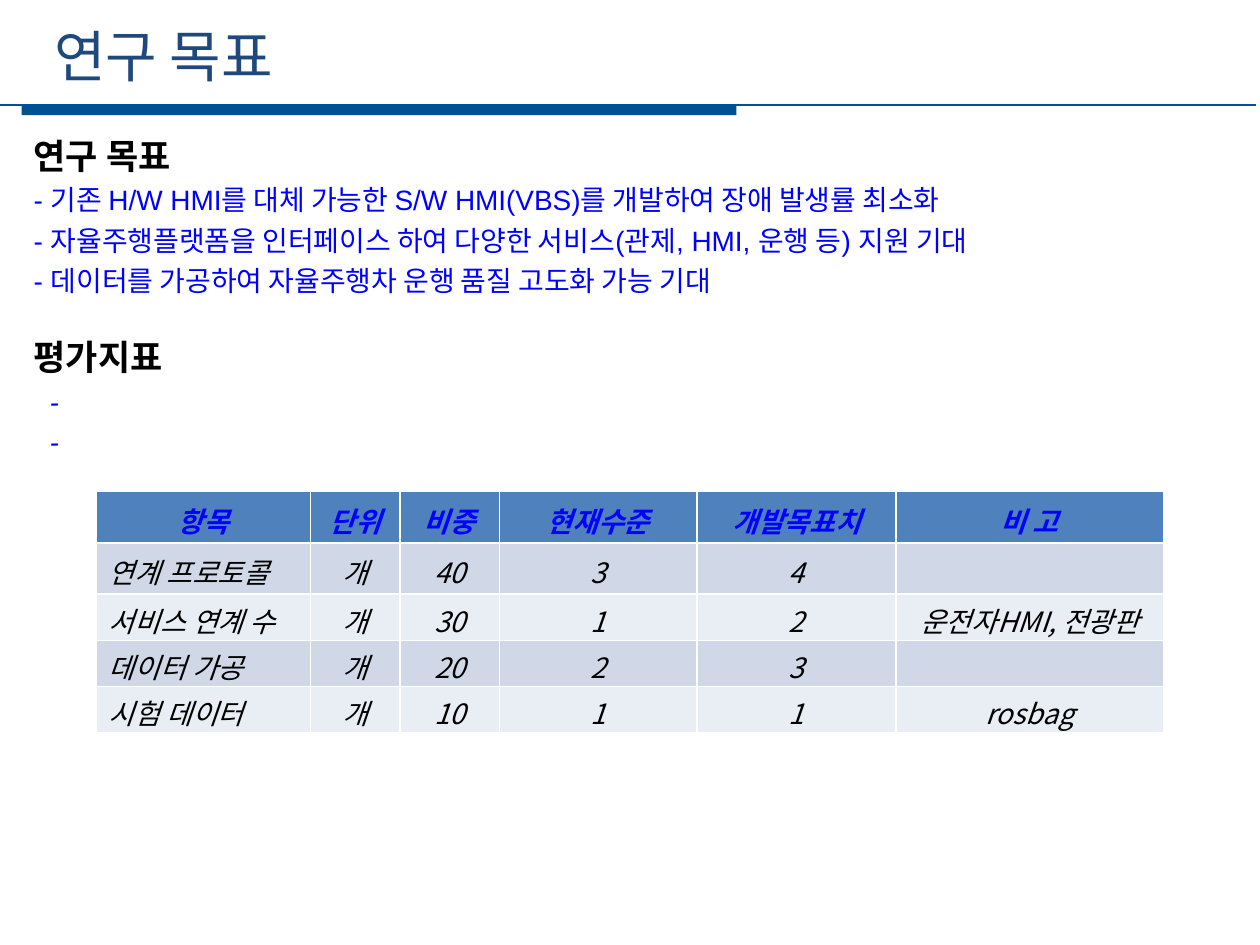
from typing import NamedTuple

from lxml.etree import SubElement
from pptx import Presentation
from pptx.dml.color import RGBColor
from pptx.enum.shapes import MSO_CONNECTOR, MSO_SHAPE
from pptx.enum.text import MSO_ANCHOR, PP_ALIGN
from pptx.oxml.ns import qn
from pptx.util import Pt

KOREAN = "Noto Sans CJK KR"
BLUE, BLACK, NAVY = "0000FF", "000000", "005094"
HEADER_FILL, BANDS = "4F81BD", ("D0D8E8", "E9EDF4")


class Line(NamedTuple):
    text: str
    size: float = 16
    color: str = BLUE
    bold: bool = False
    italic: bool = False
    font: str = "Arial"
    before: float = 0
    indent: float = 0


BODY = [
    Line("연구 목표", 20, BLACK, bold=True),
    Line("- 기존 H/W HMI를 대체 가능한 S/W HMI(VBS)를 개발하여 장애 발생률 최소화"),
    Line("- 자율주행플랫폼을 인터페이스 하여 다양한 서비스(관제, HMI, 운행 등) 지원 기대"),
    Line("- 데이터를 가공하여 자율주행차 운행 품질 고도화 가능 기대"),
    Line("평가지표", 20, BLACK, bold=True, before=23),
    Line("-", italic=True, indent=9),
    Line("-", italic=True, indent=9),
]
ROWS = [
    ("항목", "단위", "비중", "현재수준", "개발목표치", "비 고"),
    ("연계 프로토콜", "개", "40", "3", "4", ""),
    ("서비스 연계 수", "개", "30", "1", "2", "운전자HMI, 전광판"),
    ("데이터 가공", "개", "20", "2", "3", ""),
    ("시험 데이터", "개", "10", "1", "1", "rosbag"),
]
COL_WIDTHS = (122.4, 51.1, 56.9, 113, 113.8, 152.6)
ROW_HEIGHTS = (29.2, 29.2, 26.5, 26.5, 26.5)


def rgb(value: str) -> RGBColor:
    return RGBColor.from_string(value)


def write(p, line: Line) -> None:
    """Fill a paragraph, with Hangul set in the Korean font."""
    if line.text:
        p.add_run().text = line.text
    p.space_before = Pt(line.before)
    f = p.font
    f.size, f.bold, f.italic = Pt(line.size), line.bold, line.italic
    f.color.rgb = rgb(line.color)
    f.name = line.font
    pPr = p._p.get_or_add_pPr()
    pPr.set("marL", str(Pt(line.indent)))
    SubElement(pPr.find(qn("a:defRPr")), qn("a:ea"), typeface=KOREAN)


def add_text(s, left: float, top: float, width: float, height: float,
             lines: list[Line], anchor=MSO_ANCHOR.TOP, spacing: float = 0) -> None:
    tf = s.shapes.add_textbox(Pt(left), Pt(top), Pt(width), Pt(height)).text_frame
    tf.word_wrap = True
    tf.vertical_anchor = anchor
    for i, line in enumerate(lines):
        p = tf.add_paragraph() if i else tf.paragraphs[0]
        if spacing:
            p.line_spacing = Pt(spacing)
        write(p, line)


def add_title_rule(s) -> None:
    bar = s.shapes.add_shape(MSO_SHAPE.RECTANGLE, Pt(12.4), Pt(60), Pt(408.4), Pt(5.8))
    bar.shadow.inherit = False
    bar.fill.solid()
    bar.fill.fore_color.rgb = rgb(NAVY)
    bar.line.fill.background()
    rule = s.shapes.add_connector(MSO_CONNECTOR.STRAIGHT, Pt(-2), Pt(60), Pt(718), Pt(60))
    rule.line.color.rgb = rgb(NAVY)
    rule.line.width = Pt(1.25)
    SubElement(rule._element.spPr, qn("a:effectLst"))


def add_metrics_table(s) -> None:
    table = s.shapes.add_table(len(ROWS), len(COL_WIDTHS), Pt(55), Pt(281),
                               Pt(sum(COL_WIDTHS)), Pt(sum(ROW_HEIGHTS))).table
    for column, width in zip(table.columns, COL_WIDTHS):
        column.width = Pt(width)
    for r, (row, height) in enumerate(zip(ROWS, ROW_HEIGHTS)):
        table.rows[r].height = Pt(height)
        header = r == 0
        for c, text in enumerate(row):
            cell = table.cell(r, c)
            cell.fill.solid()
            cell.fill.fore_color.rgb = rgb(HEADER_FILL if header else BANDS[(r - 1) % 2])
            cell.vertical_anchor = MSO_ANCHOR.MIDDLE
            cell.margin_top, cell.margin_bottom = Pt(3.2), Pt(0)
            p = cell.text_frame.paragraphs[0]
            p.alignment = PP_ALIGN.CENTER if header or c else PP_ALIGN.LEFT
            write(p, Line(text, color=BLUE if header else BLACK,
                          bold=header, italic=True, font=KOREAN))


def main() -> None:
    prs = Presentation()
    prs.slide_width, prs.slide_height = Pt(720), Pt(540)
    s = prs.slides.add_slide(prs.slide_layouts[6])
    add_title_rule(s)
    add_text(s, 24, 8.6, 645, 46, [Line("연구 목표", 32, "1F497D", font=KOREAN)],
             anchor=MSO_ANCHOR.MIDDLE)
    add_text(s, 12.2, 74.2, 685.4, 190.8, BODY, spacing=23)
    add_metrics_table(s)
    prs.save("out.pptx")


if __name__ == "__main__":
    main()
